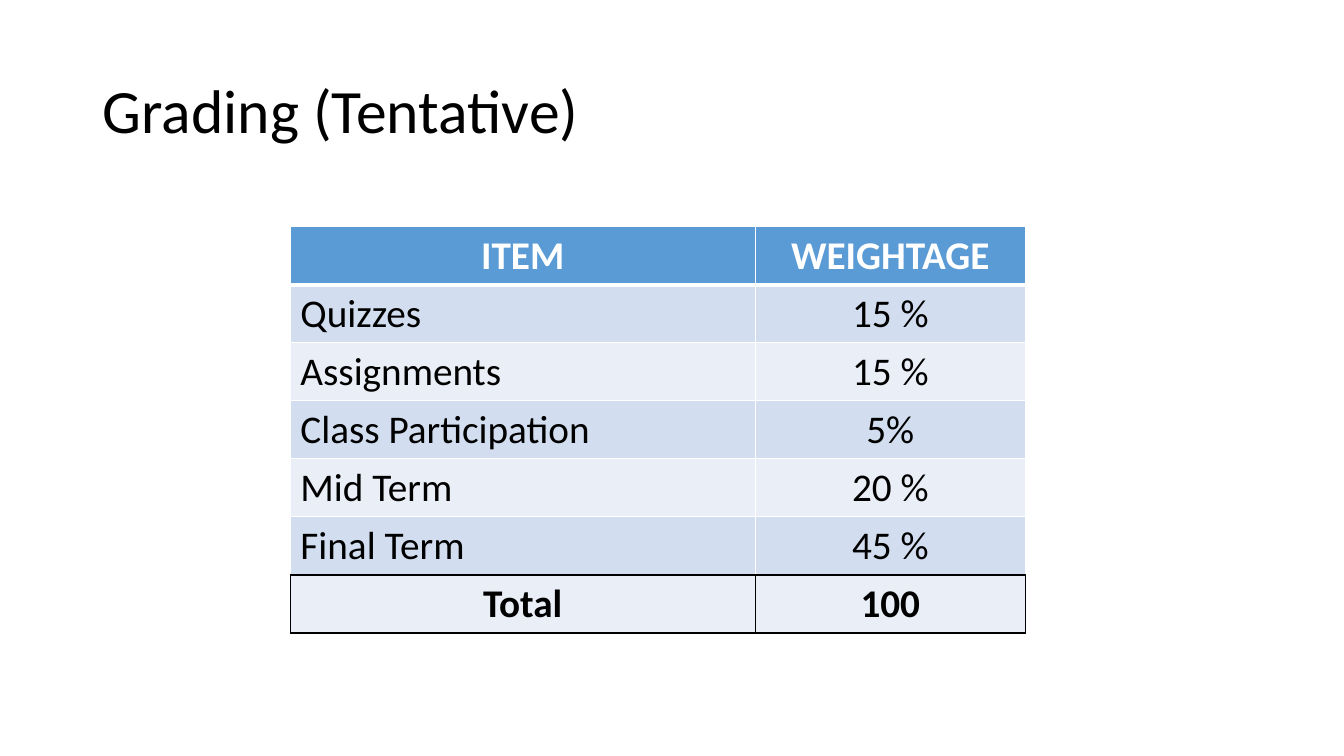
from lxml import etree
from pptx import Presentation
from pptx import util as u
from pptx.dml.color import RGBColor
from pptx.enum import text
from pptx.oxml import ns

BLACK = RGBColor(0x00, 0x00, 0x00)
WHITE = RGBColor(0xFF, 0xFF, 0xFF)
HEADER_BLUE = RGBColor(0x5B, 0x9B, 0xD5)
BAND_DARK = RGBColor(0xD2, 0xDE, 0xEF)
BAND_LIGHT = RGBColor(0xEA, 0xEF, 0xF7)

COLUMN_WIDTHS = [4.61, 2.68]
ROW_HEIGHT = 0.57
GRADING = [
    ("ITEM", "WEIGHTAGE"),
    ("Quizzes", "15 %"),
    ("Assignments", "15 %"),
    ("Class Participation", "5%"),
    ("Mid Term", "20 %"),
    ("Final Term", "45 %"),
    ("Total", "100"),
]


def write(frame, words, size=28, color=BLACK, bold=False,
          align=text.PP_ALIGN.LEFT, spacing=None):
    para = frame.paragraphs[0]
    para.alignment = align
    para.line_spacing = spacing
    span = para.add_run()
    span.text = words
    span.font.name = "Calibri"
    span.font.size = u.Pt(size)
    span.font.bold = bold
    span.font.color.rgb = color


def set_borders(cell, edges):
    """Draw borders given as (side, colour, points) in L, R, T, B order."""
    properties = cell._tc.get_or_add_tcPr()
    for position, (side, color, points) in enumerate(edges):
        line = etree.Element(ns.qn(f"a:ln{side}"), w=str(u.Pt(points)))
        fill = etree.SubElement(line, ns.qn("a:solidFill"))
        etree.SubElement(fill, ns.qn("a:srgbClr"), val=str(color))
        properties.insert(position, line)


deck = Presentation()
deck.slide_width = u.Inches(13.33)
deck.slide_height = u.Inches(7.5)
page = deck.slides.add_slide(deck.slide_layouts[5])

# Title
title = page.shapes.title
title.left, title.top = u.Inches(0.92), u.Inches(0.4)
title.width, title.height = u.Inches(11.5), u.Inches(1.45)
title.text_frame.vertical_anchor = text.MSO_ANCHOR.MIDDLE
write(title.text_frame, "Grading (Tentative)", size=44, spacing=0.9)

# Grading table
last = len(GRADING) - 1
table = page.shapes.add_table(
    len(GRADING), len(COLUMN_WIDTHS), u.Inches(2.88), u.Inches(2.25),
    u.Inches(sum(COLUMN_WIDTHS)), u.Inches(ROW_HEIGHT * len(GRADING))).table
table.horz_banding = False
for column, width in zip(table.columns, COLUMN_WIDTHS):
    column.width = u.Inches(width)

for row, entries in enumerate(GRADING):
    is_header, is_total = row == 0, row == last
    # Neighbouring rows share the same edge: thick under the header, black at the total
    side_color = BLACK if is_total else WHITE
    top_color = BLACK if is_total else WHITE
    bottom_color = BLACK if row >= last - 1 else WHITE
    edges = [("L", side_color, 1), ("R", side_color, 1),
             ("T", top_color, 3 if row == 1 else 1),
             ("B", bottom_color, 3 if is_header else 1)]
    band = BAND_DARK if row % 2 else BAND_LIGHT
    for column, words in enumerate(entries):
        cell = table.cell(row, column)
        cell.fill.solid()
        cell.fill.fore_color.rgb = HEADER_BLUE if is_header else band
        set_borders(cell, edges)
        centred = column == 1 or is_header or is_total
        write(cell.text_frame, words, bold=is_header or is_total,
              color=WHITE if is_header else BLACK,
              align=text.PP_ALIGN.CENTER if centred else text.PP_ALIGN.LEFT)

deck.save("out.pptx")
